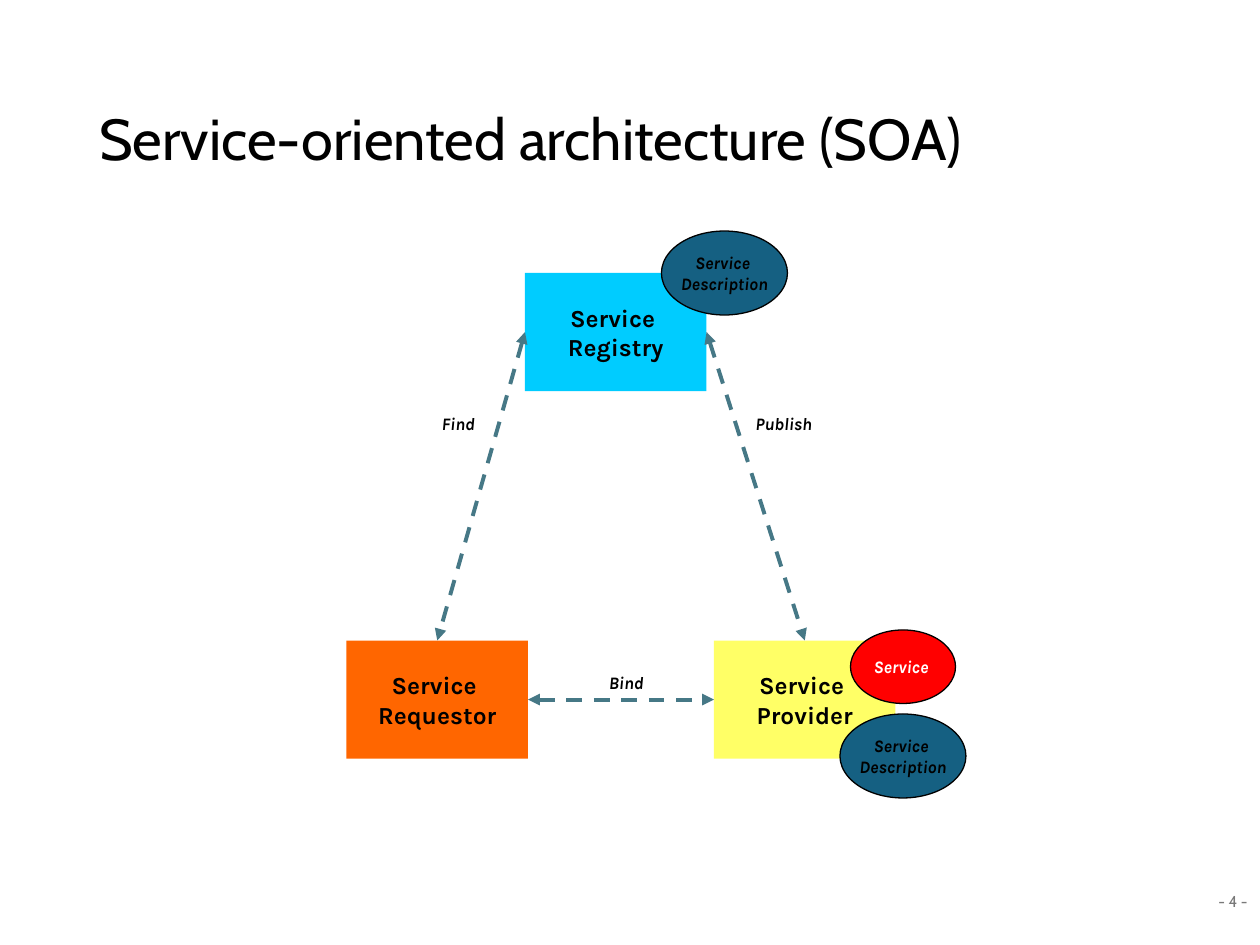
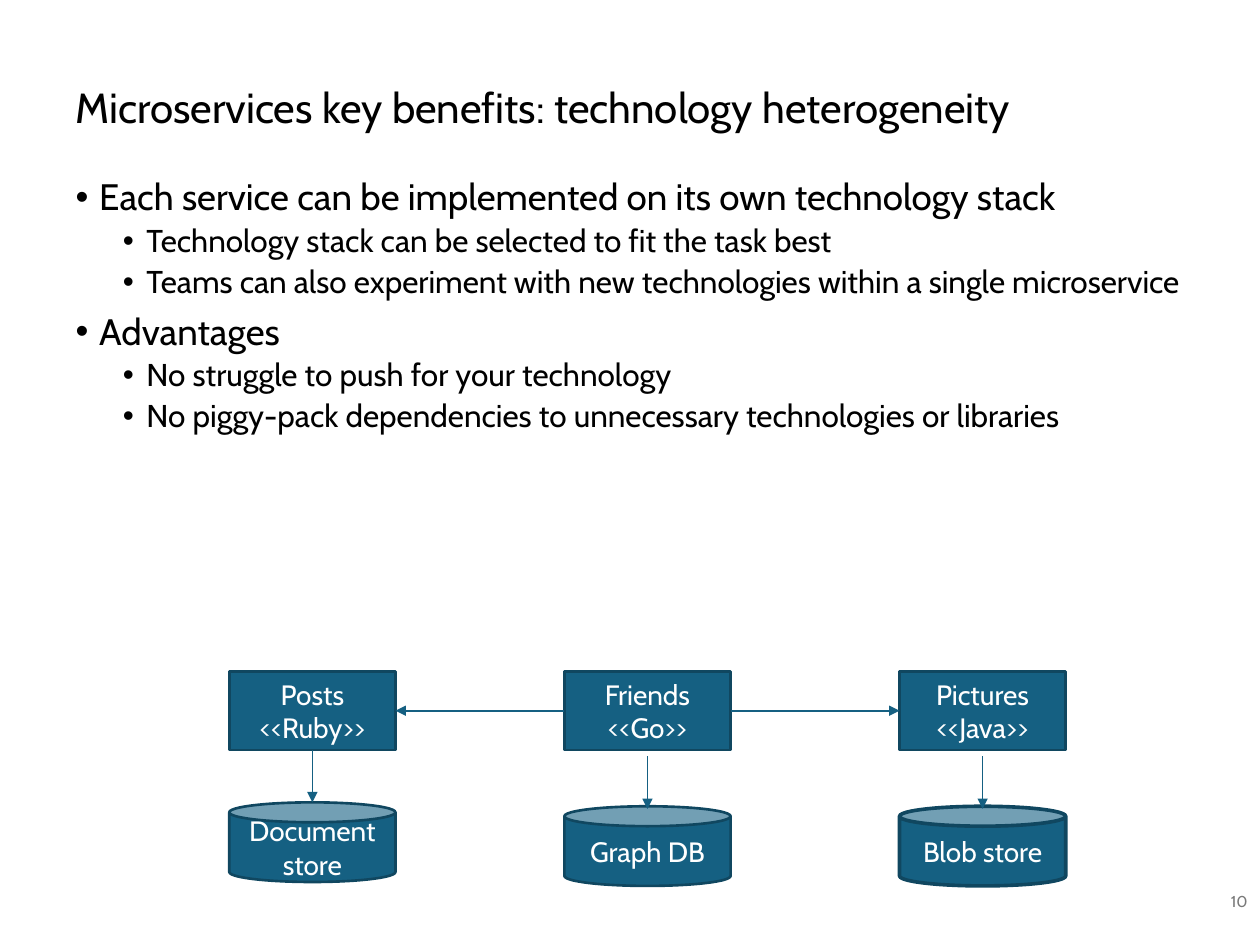
"""Build two slides on service-oriented architecture and microservices."""
from lxml import etree
from pptx import Presentation
from pptx import util as u
from pptx.dml import color
from pptx.enum import dml, shapes, text
from pptx.oxml import ns

Pt = u.Pt
BLACK, WHITE, GREY = "000000", "FFFFFF", "797979"
BLUE, NAVY, TEAL = "156082", "104760", "467886"
RECT, OVAL, CAN = (shapes.MSO_SHAPE.RECTANGLE, shapes.MSO_SHAPE.OVAL,
                   shapes.MSO_SHAPE.CAN)
TOP, LEFT, BOTTOM, RIGHT = range(4)


def rgb(code):
    return color.RGBColor.from_string(code)


class Deck:
    def __init__(self):
        self.prs = Presentation()
        self.prs.slide_width, self.prs.slide_height = Pt(720), Pt(540)
        self.slide = None

    def new_slide(self, layout, title, box, size, number):
        self.slide = self.prs.slides.add_slide(self.prs.slide_layouts[layout])
        heading = self.slide.shapes.title
        self.place(heading, box)
        self.set_words(heading, title, size, align=text.PP_ALIGN.LEFT)
        heading.text_frame.paragraphs[0].line_spacing = 0.9
        self.label((558, 500.4, 162, 28.8), number, 9, ink=GREY,
                   align=text.PP_ALIGN.RIGHT)

    def place(self, shape, box):
        shape.left, shape.top, shape.width, shape.height = map(Pt, box)

    def style(self, paragraph, size, ink=BLACK, font="Cabin", bold=False, italic=False):
        for run in paragraph.runs:
            run.font.name, run.font.size = font, Pt(size)
            run.font.bold, run.font.italic = bold, italic
            run.font.color.rgb = rgb(ink)

    def set_words(self, shape, words, size, ink=BLACK, align=text.PP_ALIGN.CENTER,
                  wrap=True, **look):
        frame = shape.text_frame
        frame.text = words
        frame.word_wrap = wrap
        frame.auto_size = text.MSO_AUTO_SIZE.NONE
        frame.vertical_anchor = text.MSO_ANCHOR.MIDDLE
        for paragraph in frame.paragraphs:
            paragraph.alignment = align
            self.style(paragraph, size, ink, **look)

    def bullets(self, box, items):
        body = self.slide.placeholders[1]
        self.place(body, box)
        frame = body.text_frame
        frame.auto_size = text.MSO_AUTO_SIZE.NONE
        frame.vertical_anchor = text.MSO_ANCHOR.TOP
        for index, (level, words) in enumerate(items):
            point = frame.add_paragraph() if index else frame.paragraphs[0]
            point.text = words
            point.level = level
            point.line_spacing = 0.9
            point.space_before = Pt((7.5, 3.8)[level] if index else 0)
            point.space_after = Pt(0)
            props = point._p.get_or_add_pPr()
            props.set("marL", str(Pt(13.5 + 27 * level)))
            props.set("indent", str(Pt(-13.5)))
            etree.SubElement(props, ns.qn("a:buFont"), typeface="Arial")
            etree.SubElement(props, ns.qn("a:buChar"), char="•")
            self.style(point, (21, 18)[level])

    def node(self, kind, box, words, size, fill, line=None, weight=0.75, **look):
        shape = self.slide.shapes.add_shape(kind, *map(Pt, box))
        shape.shadow.inherit = False
        shape.fill.solid()
        shape.fill.fore_color.rgb = rgb(fill)
        if line:
            shape.line.color.rgb = rgb(line)
            shape.line.width = Pt(weight)
        else:
            shape.line.fill.background()
        self.set_words(shape, words, size, **look)
        return shape

    def label(self, box, words, size, **look):
        self.set_words(self.slide.shapes.add_textbox(*map(Pt, box)), words, size, **look)

    def arrow(self, ink, weight, ends=(0, 0, 0, 0), begin=None, end=None, both=False):
        link = self.slide.shapes.add_connector(
            shapes.MSO_CONNECTOR.STRAIGHT, *map(Pt, ends))
        if begin:
            link.begin_connect(*begin)
        if end:
            link.end_connect(*end)
        link.line.color.rgb = rgb(ink)
        link.line.width = Pt(weight)
        if both:
            link.line.dash_style = dml.MSO_LINE.DASH
        props = link._element.spPr
        stroke = props.find(ns.qn("a:ln"))
        for tag in ("a:headEnd", "a:tailEnd")[0 if both else 1:]:
            etree.SubElement(stroke, ns.qn(tag), type="triangle")
        etree.SubElement(props, ns.qn("a:effectLst"))


def soa_slide(deck):
    deck.new_slide(5, "Service-oriented architecture (SOA)",
                   (49.5, 28.75, 621, 104.4), 33, "- 4 -")
    role = dict(font="Karla", bold=True, wrap=False)
    note = dict(role, italic=True)
    requestor, provider, registry = (
        deck.node(RECT, (x, y, 103.75, 67.5), f"Service \n{name}", 14, fill, **role)
        for name, x, y, fill in (("Requestor", 198, 366, "FF6600"),
                                 ("Provider", 408, 366, "FFFF66"),
                                 ("Registry", 300, 156, "00CCFF")))
    for begin, end, name, x, y in (
            ((registry, LEFT), (requestor, TOP), "Find", 210, 229.75),
            ((registry, RIGHT), (provider, TOP), "Publish", 396, 229.75),
            ((requestor, RIGHT), (provider, LEFT), "Bind", 306, 378)):
        deck.arrow(TEAL, 2.25, begin=begin, end=end, both=True)
        deck.label((x, y, 103.75, 24), name, 10, **note)
    for x, y in ((480, 408), (378, 132)):
        deck.node(OVAL, (x, y, 72, 48), "Service \nDescription", 10, BLUE, BLACK, **note)
    deck.node(OVAL, (486, 360, 60, 42), "Service ", 10, "FF0000", BLACK,
              ink=WHITE, **note)


def heterogeneity_slide(deck):
    deck.new_slide(1, "Microservices key benefits: technology heterogeneity",
                   (36, 24, 648, 78), 24, "10")
    deck.bullets((36, 98.75, 648, 384), (
        (0, "Each service can be implemented on its own technology stack"),
        (1, "Technology stack can be selected to fit the task best"),
        (1, "Teams can also experiment with new technologies within a single microservice"),
        (0, "Advantages"),
        (1, "No struggle to push for your technology"),
        (1, "No piggy-pack dependencies to unnecessary technologies or libraries")))
    width, pitch, top, height = 95, 191.5, 383.75, 44.75
    services = []
    for column, (name, language, store, store_top, weight) in enumerate((
            ("Posts", "Ruby", "Document store", 458.5, 1.5),
            ("Friends", "Go", "Graph DB", 460.75, 1.5),
            ("Pictures", "Java", "Blob store", 460.75, 2.08))):
        x = 131 + column * pitch
        middle = x + width / 2
        service = deck.node(RECT, (x, top, width, height), f"{name}\v<<{language}>>",
                            16, BLUE, NAVY, 1.5, ink=WHITE)
        deck.node(CAN, (x, store_top, width, 45.5), store, 16, BLUE, NAVY, weight,
                  ink=WHITE)
        if column == 0:
            deck.arrow(BLUE, 1, (middle, top + height, middle, store_top),
                       begin=(service, BOTTOM))
        else:
            deck.arrow(BLUE, 1, (middle, 432, middle, 462.25))
        services.append(service)
    posts, friends, pictures = services
    deck.arrow(BLUE, 1, begin=(friends, LEFT), end=(posts, RIGHT))
    deck.arrow(BLUE, 1, begin=(friends, RIGHT), end=(pictures, LEFT))


def main():
    deck = Deck()
    soa_slide(deck)
    heterogeneity_slide(deck)
    deck.prs.save("out.pptx")


if __name__ == "__main__":
    main()
